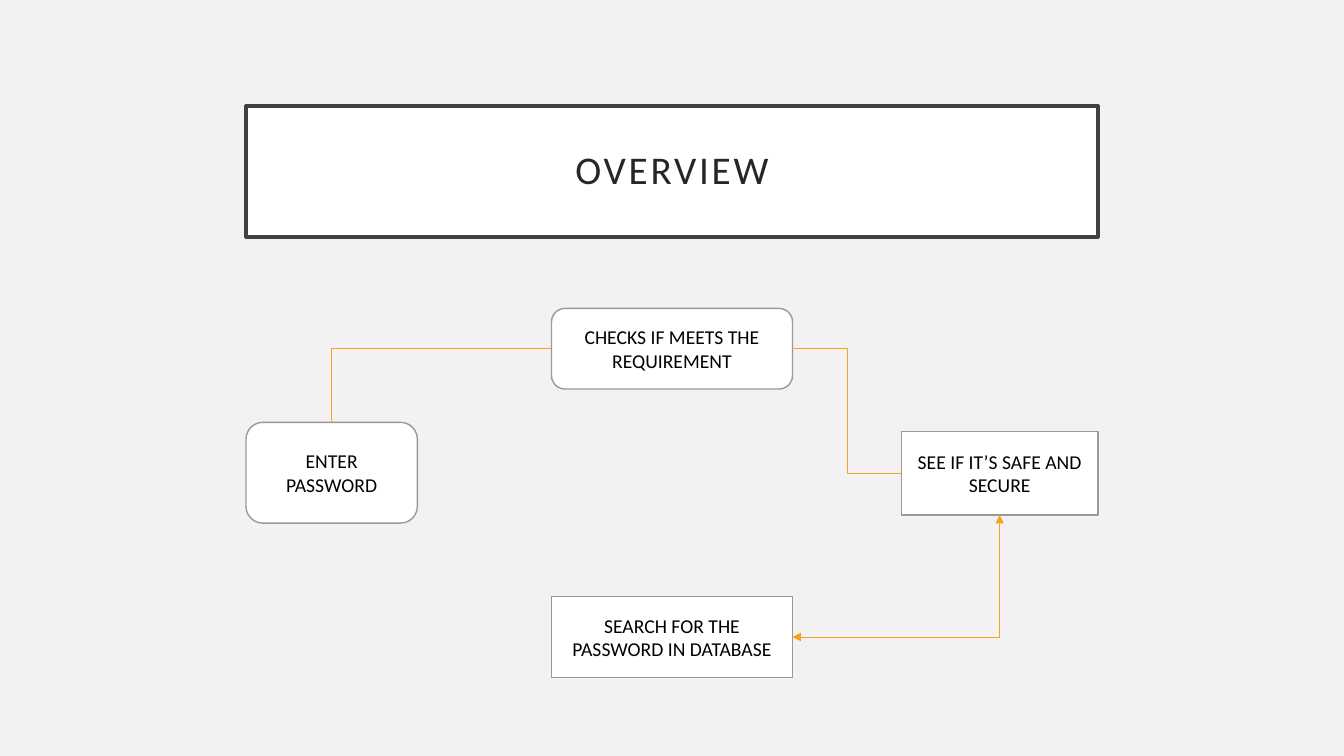
import pptx
import pptx.dml.color
import pptx.enum.shapes
import pptx.enum.text
import pptx.oxml.ns
import pptx.util
from lxml import etree

Inches = pptx.util.Inches
Pt = pptx.util.Pt
SHAPES = pptx.enum.shapes.MSO_SHAPE
TEXT = pptx.enum.text
qn = pptx.oxml.ns.qn

# Connection sites of a rectangle
TOP, LEFT, BOTTOM, RIGHT = range(4)


def colour(hex_value):
    return pptx.dml.color.RGBColor.from_string(hex_value)


class FlowSlide:
    """Holds the style and the current slide."""

    font = "Calibri"
    background, white, black = "F2F2F2", "FFFFFF", "000000"
    title_text, title_border = "262626", "404040"
    step_border, link = "A0988C", "F6A21D"

    def __init__(self, deck):
        self.slide = deck.slides.add_slide(deck.slide_layouts[5])
        fill = self.slide.background.fill
        fill.solid()
        fill.fore_color.rgb = colour(self.background)

    def set_line(self, line, hex_value, width):
        line.color.rgb = colour(hex_value)
        line.width = Pt(width)

    def format_box(self, box, text, border, width, inset, font, spacing=1.0):
        box.fill.solid()
        box.fill.fore_color.rgb = colour(self.white)
        self.set_line(box.line, border, width)
        frame = box.text_frame
        frame.text = text
        frame_format = {
            "word_wrap": True,
            "auto_size": TEXT.MSO_AUTO_SIZE.NONE,
            "vertical_anchor": TEXT.MSO_ANCHOR.MIDDLE,
            "margin_left": Inches(inset[0]),
            "margin_right": Inches(inset[0]),
            "margin_top": Inches(inset[1]),
            "margin_bottom": Inches(inset[1]),
        }
        for name, value in frame_format.items():
            setattr(frame, name, value)
        para = frame.paragraphs[0]
        para.alignment = TEXT.PP_ALIGN.CENTER
        para.line_spacing = spacing
        span = para.runs[0]
        span.font.name = self.font
        span.font.size = Pt(font[0])
        span.font.color.rgb = colour(font[1])
        return span

    def title(self, text, left, top, width, height):
        box = self.slide.shapes.title
        place = {"left": left, "top": top, "width": width, "height": height}
        for name, value in place.items():
            setattr(box, name, Inches(value))
        span = self.format_box(box, text, self.title_border, 2.5, (0.2, 0.2),
                               (28, self.title_text), 0.9)
        span.font._element.set("spc", "200")

    def step(self, text, kind, *place):
        box = self.slide.shapes.add_shape(kind, *map(Inches, place))
        box.shadow.inherit = False
        self.format_box(box, text, self.step_border, 1, (0.1, 0.05),
                        (14, self.black))
        return box

    def connect(self, start, start_site, end, end_site, bend, arrows=False):
        connector = self.slide.shapes.add_connector(
            pptx.enum.shapes.MSO_CONNECTOR.ELBOW, 0, 0, 0, 0)
        connector.begin_connect(start, start_site)
        connector.end_connect(end, end_site)
        self.set_line(connector.line, self.link, 0.5)
        properties = connector._element.spPr
        properties.find(qn("a:prstGeom")).set("prst", bend)
        if arrows:
            for tag in ("a:headEnd", "a:tailEnd"):
                etree.SubElement(properties.find(qn("a:ln")), qn(tag),
                                 type="triangle")
        etree.SubElement(properties, qn("a:effectLst"))


def main():
    deck = pptx.Presentation()
    deck.slide_width = Inches(13.33)
    deck.slide_height = Inches(7.5)
    page = FlowSlide(deck)

    # Title
    page.title("OVERVIEW", 2.44, 1.05, 8.45, 1.3)

    # Steps
    enter = page.step("ENTER PASSWORD", SHAPES.ROUNDED_RECTANGLE,
                      2.44, 4.19, 1.7, 1)
    check = page.step("CHECKS IF MEETS THE REQUIREMENT",
                      SHAPES.ROUNDED_RECTANGLE, 5.47, 3.06, 2.39, 0.8)
    search = page.step("SEARCH FOR THE PASSWORD IN DATABASE",
                       SHAPES.RECTANGLE, 5.47, 5.92, 2.39, 0.8)
    secure = page.step("SEE IF IT’S SAFE AND SECURE", SHAPES.RECTANGLE,
                       8.94, 4.28, 1.95, 0.83)

    # Links between the steps
    page.connect(check, LEFT, enter, TOP, "bentConnector2")
    page.connect(check, RIGHT, secure, LEFT, "bentConnector3")
    page.connect(search, RIGHT, secure, BOTTOM, "bentConnector2", arrows=True)

    deck.save("out.pptx")


if __name__ == "__main__":
    main()
